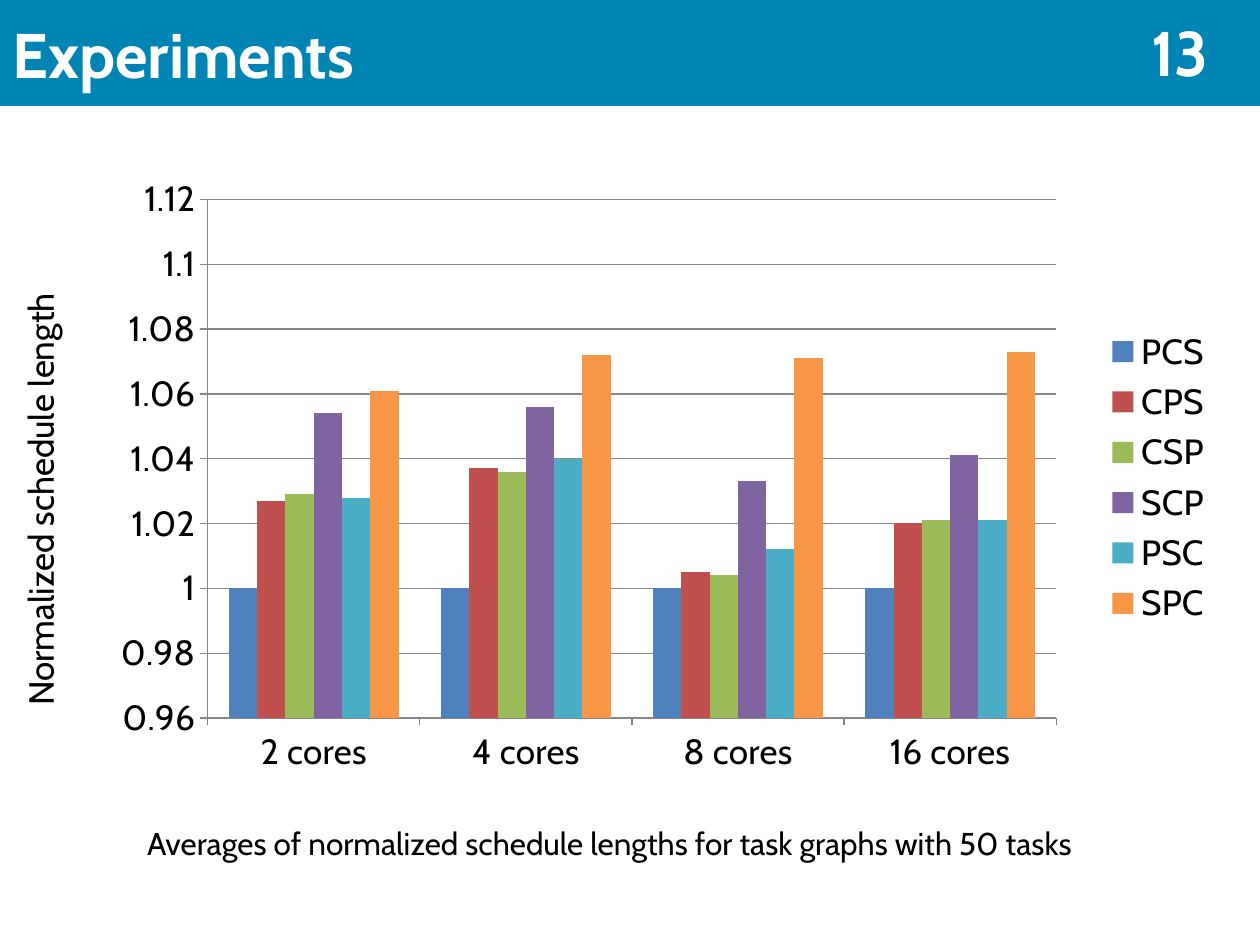
from pptx import Presentation
from pptx.chart.data import CategoryChartData
from pptx.dml.color import RGBColor
from pptx.enum.chart import XL_CHART_TYPE, XL_LEGEND_POSITION, XL_TICK_MARK
from pptx.enum.shapes import MSO_SHAPE
from pptx.enum.text import MSO_ANCHOR, PP_ALIGN
from pptx.oxml import parse_xml
from pptx.oxml.ns import nsdecls, qn
from pptx.util import Inches, Pt

CORES = ["2 cores", "4 cores", "8 cores", "16 cores"]
SERIES = [
    ("PCS", "4F81BD", [1, 1, 1, 1]),
    ("CPS", "C0504D", [1.027, 1.037, 1.005, 1.02]),
    ("CSP", "9BBB59", [1.029, 1.036, 1.004, 1.021]),
    ("SCP", "8064A2", [1.054, 1.056, 1.033, 1.041]),
    ("PSC", "4BACC6", [1.028, 1.04, 1.012, 1.021]),
    ("SPC", "F79646", [1.061, 1.072, 1.071, 1.073]),
]


def paint(color, value):
    color.rgb = RGBColor.from_string(value)


class Deck:
    face = "Cabin"
    blue = "0084B4"
    white = "FFFFFF"
    black = "000000"
    grid = "868686"

    def __init__(self, slide):
        self.slide = slide

    def font(self, font, size, color, bold=False):
        font.name, font.size, font.bold = self.face, Pt(size), bold
        paint(font.color, color)

    def words(self, shape, text, size, color, bold=False,
              align=PP_ALIGN.LEFT, anchor=MSO_ANCHOR.TOP):
        frame = shape.text_frame
        frame.word_wrap = True
        frame.vertical_anchor = anchor
        para = frame.paragraphs[0]
        para.alignment = align
        run = para.add_run()
        run.text = text
        self.font(run.font, size, color, bold)

    def banner(self, box, text):
        shape = self.slide.shapes.add_shape(
            MSO_SHAPE.RECTANGLE, *map(Inches, box))
        shape.shadow.inherit = False
        shape.fill.solid()
        paint(shape.fill.fore_color, self.blue)
        shape.line.fill.background()
        self.words(shape, text, 36, self.white, True, anchor=MSO_ANCHOR.MIDDLE)

    def label(self, box, text, size, color=black, upright=False, **style):
        shape = self.slide.shapes.add_textbox(*map(Inches, box))
        self.words(shape, text, size, color, **style)
        if upright:
            body = shape.text_frame._txBody.find(qn("a:bodyPr"))
            body.set("vert", "vert270")

    def axis(self, axis):
        axis.major_tick_mark = XL_TICK_MARK.OUTSIDE
        axis.minor_tick_mark = XL_TICK_MARK.NONE
        axis.format.line.width = Pt(0.75)
        paint(axis.format.line.color, self.grid)
        self.font(axis.tick_labels.font, 20, self.black)

    def place(self, chart, frame):
        area = chart._chartSpace.chart.plotArea
        for old in area.findall(qn("c:layout")):
            area.remove(old)
        spots = "".join(f'<c:{tag} val="{val}"/>'
                        for tag, val in zip("xywh", frame))
        area.insert(0, parse_xml(
            f'<c:layout {nsdecls("c")}><c:manualLayout>'
            '<c:layoutTarget val="inner"/>'
            '<c:xMode val="edge"/><c:yMode val="edge"/>'
            f'{spots}</c:manualLayout></c:layout>'))

    def columns(self, box, cats, series, low, high, step, frame):
        data = CategoryChartData()
        data.categories = cats
        for name, _, vals in series:
            data.add_series(name, vals)
        chart = self.slide.shapes.add_chart(
            XL_CHART_TYPE.COLUMN_CLUSTERED, *map(Inches, box), data).chart
        self.font(chart.font, 20, self.black)
        chart.has_title = False
        chart.has_legend = True
        chart.legend.position = XL_LEGEND_POSITION.RIGHT
        chart.legend.include_in_layout = False
        self.font(chart.legend.font, 20, self.black)
        plot = chart.plots[0]
        plot.gap_width, plot.overlap = 150, 0
        plot.vary_by_categories = False
        for bar, (_, color, _) in zip(plot.series, series):
            bar.format.fill.solid()
            paint(bar.format.fill.fore_color, color)
        self.axis(chart.category_axis)
        scale = chart.value_axis
        self.axis(scale)
        scale.minimum_scale, scale.maximum_scale = low, high
        scale.major_unit = step
        scale.tick_labels.number_format = "General"
        scale.tick_labels.number_format_is_linked = False
        scale.has_major_gridlines = True
        line = scale.major_gridlines.format.line
        line.width = Pt(0.75)
        paint(line.color, self.grid)
        self.place(chart, frame)


def main():
    show = Presentation()
    show.slide_width, show.slide_height = Inches(10), Inches(7.5)
    deck = Deck(show.slides.add_slide(show.slide_layouts[6]))
    deck.banner((0, 0, 10, 0.84), "Experiments")
    deck.label((1.07, 6.49, 8.1, 0.4),
               "Averages of normalized schedule lengths for task graphs "
               "with 50 tasks", 18)
    deck.label((0.1, 1.77, 0.54, 3.93), "Normalized schedule length", 20,
               upright=True)
    deck.columns((0.75, 1.31, 8.98, 4.96), CORES, SERIES, 0.96, 1.12, 0.02,
                 (0.1, 0.055, 0.75, 0.83))
    deck.label((7.36, 0.21, 2.33, 0.4), "13", 36, deck.white, bold=True,
               align=PP_ALIGN.RIGHT, anchor=MSO_ANCHOR.MIDDLE)
    show.save("out.pptx")


if __name__ == "__main__":
    main()
